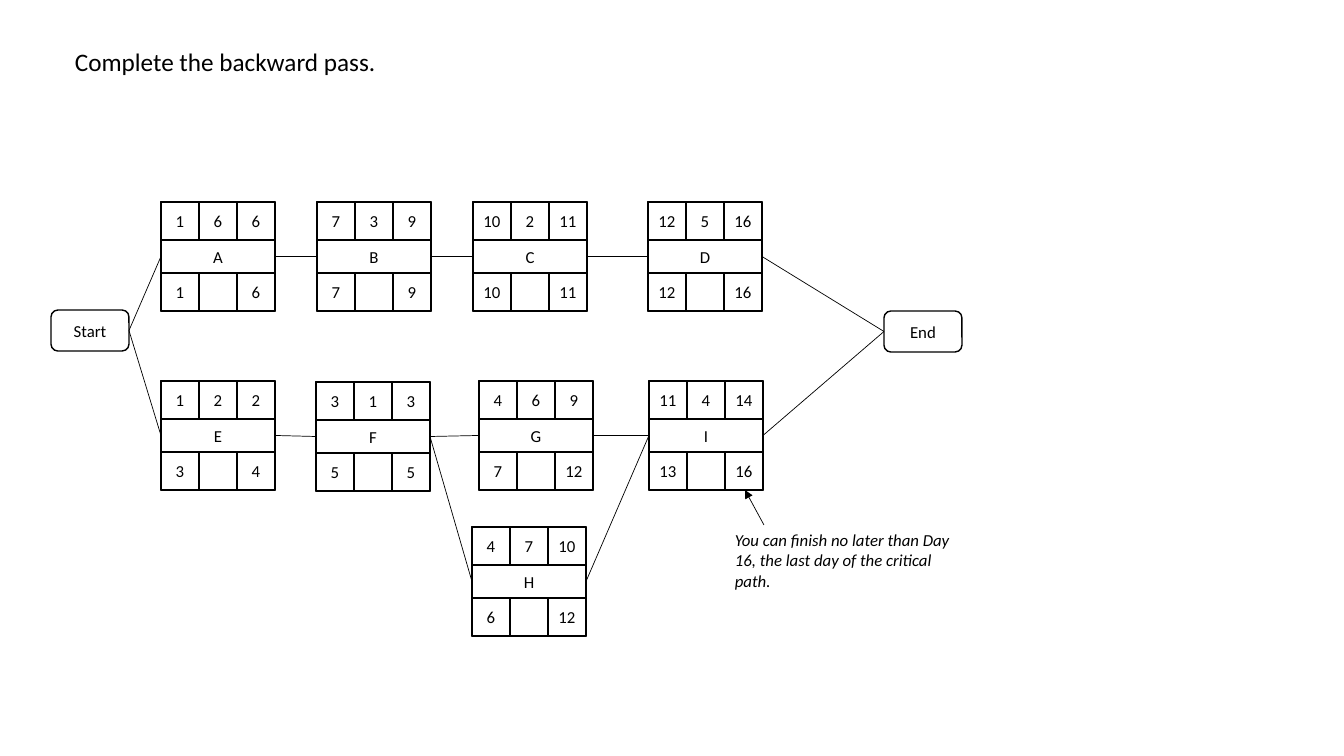
import pptx
import pptx.util
import pptx.dml.color
import pptx.enum.shapes
import pptx.enum.text
import pptx.oxml

PIXEL = 914400 / 100.8
COLORS = {"ink": "000000", "paper": "FFFFFF"}
INK = pptx.dml.color.RGBColor.from_string(COLORS["ink"])
PAPER = pptx.dml.color.RGBColor.from_string(COLORS["paper"])
SHAPES = pptx.enum.shapes.MSO_SHAPE
CELL, NODE_WIDTH, NODE_HEIGHT = 38, 114, 109
LEFT_SITE, RIGHT_SITE = 1, 3

# Activity: left, top, (early start, duration, early finish), (late start, slack, late finish)
ACTIVITIES = {
    "A": (161, 202, ("1", "6", "6"), ("1", "", "6")),
    "E": (161, 381, ("1", "2", "2"), ("3", "", "4")),
    "B": (317, 202, ("7", "3", "9"), ("7", "", "9")),
    "C": (473, 202, ("10", "2", "11"), ("10", "", "11")),
    "F": (316, 382, ("3", "1", "3"), ("5", "", "5")),
    "G": (479, 381, ("4", "6", "9"), ("7", "", "12")),
    "D": (648, 202, ("12", "5", "16"), ("12", "", "16")),
    "H": (472, 527, ("4", "7", "10"), ("6", "", "12")),
    "I": (649, 381, ("11", "4", "14"), ("13", "", "16")),
}
MILESTONES = {"Start": (51, 310), "End": (884, 311)}
LINKS = [
    ("Start", "A"), ("A", "B"), ("B", "C"), ("C", "D"), ("D", "End"),
    ("Start", "E"), ("E", "F"), ("F", "G"), ("G", "I"), ("I", "End"),
    ("F", "H"), ("H", "I"),
]


def add_box(kind, left, top, width, height, text):
    """Add an outlined, unfilled shape with centred text."""
    box = page.shapes.add_shape(kind, *[round(n * PIXEL) for n in (left, top, width, height)])
    box.shadow.inherit = False
    box.fill.background()
    box.line.color.rgb = INK
    box.line.width = pptx.util.Pt(1)
    frame = box.text_frame
    frame.margin_left = frame.margin_right = 0
    frame.vertical_anchor = pptx.enum.text.MSO_ANCHOR.MIDDLE
    frame.text = text
    frame.paragraphs[0].alignment = pptx.enum.text.PP_ALIGN.CENTER
    for span in frame.paragraphs[0].runs:
        span.font.name = "Calibri"
        span.font.size = pptx.util.Pt(12)
        span.font.color.rgb = INK
    return box


def add_line(*ends):
    """Add a thin straight connector without a shadow."""
    line = page.shapes.add_connector(
        pptx.enum.shapes.MSO_CONNECTOR.STRAIGHT, *[round(n * PIXEL) for n in ends])
    line.line.color.rgb = INK
    line.line.width = pptx.util.Pt(0.5)
    line._element.spPr.append(pptx.oxml.parse_xml(
        '<a:effectLst xmlns:a="http://schemas.openxmlformats.org/drawingml/2006/main"/>'))
    return line


deck = pptx.Presentation()
deck.slide_width = round(1344 * PIXEL)
deck.slide_height = round(756 * PIXEL)
page = deck.slides.add_slide(deck.slide_layouts[6])

nodes = {}
for name, (left, top) in MILESTONES.items():
    nodes[name] = add_box(SHAPES.ROUNDED_RECTANGLE, left, top, 78, 41, name)

for name, (left, top, early, late) in ACTIVITIES.items():
    nodes[name] = add_box(SHAPES.RECTANGLE, left, top, NODE_WIDTH, NODE_HEIGHT, name)
    for row_top, values in ((top, early), (top + NODE_HEIGHT - CELL, late)):
        for column, value in enumerate(values):
            cell = add_box(SHAPES.RECTANGLE, left + column * CELL, row_top, CELL, CELL, value)
            cell.fill.solid()
            cell.fill.fore_color.rgb = PAPER

for source, target in LINKS:
    link = add_line(0, 0, 0, 0)
    link.begin_connect(nodes[source], RIGHT_SITE)
    link.end_connect(nodes[target], LEFT_SITE)

texts = [
    ("Complete the backward pass.", (65, 41, 325, 41), 18, False, False),
    ("You can finish no later than Day 16, the last day of the critical path.",
     (725, 525, 240, 71), 12, True, True),
]
for text, bounds, size, italic, wrap in texts:
    box = page.shapes.add_textbox(*[round(n * PIXEL) for n in bounds])
    box.text_frame.word_wrap = wrap
    box.text_frame.auto_size = pptx.enum.text.MSO_AUTO_SIZE.SHAPE_TO_FIT_TEXT
    box.text_frame.text = text
    span = box.text_frame.paragraphs[0].runs[0]
    span.font.name = "Calibri"
    span.font.size = pptx.util.Pt(size)
    span.font.italic = italic
    span.font.color.rgb = INK

arrow = add_line(764, 525, 745, 490)
arrow.line._get_or_add_ln().append(pptx.oxml.parse_xml(
    '<a:tailEnd xmlns:a="http://schemas.openxmlformats.org/drawingml/2006/main" type="triangle"/>'))

deck.save("out.pptx")
